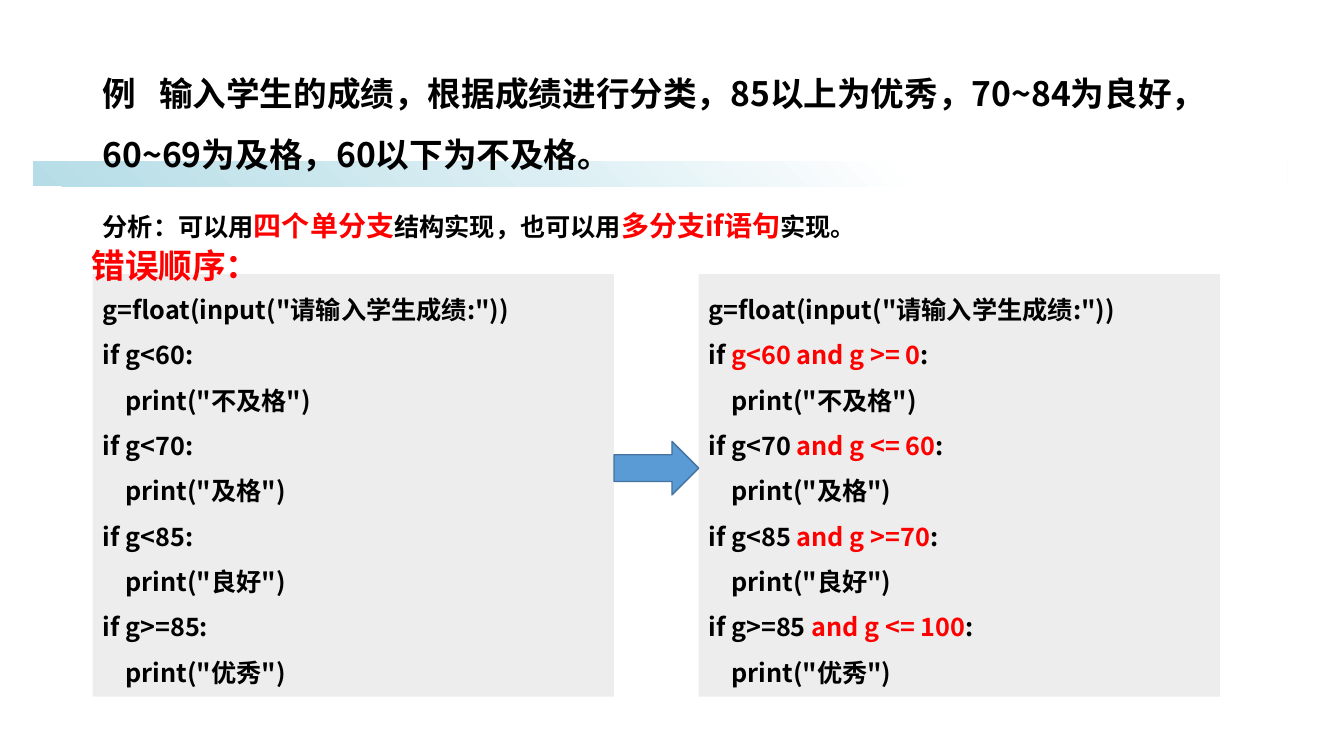
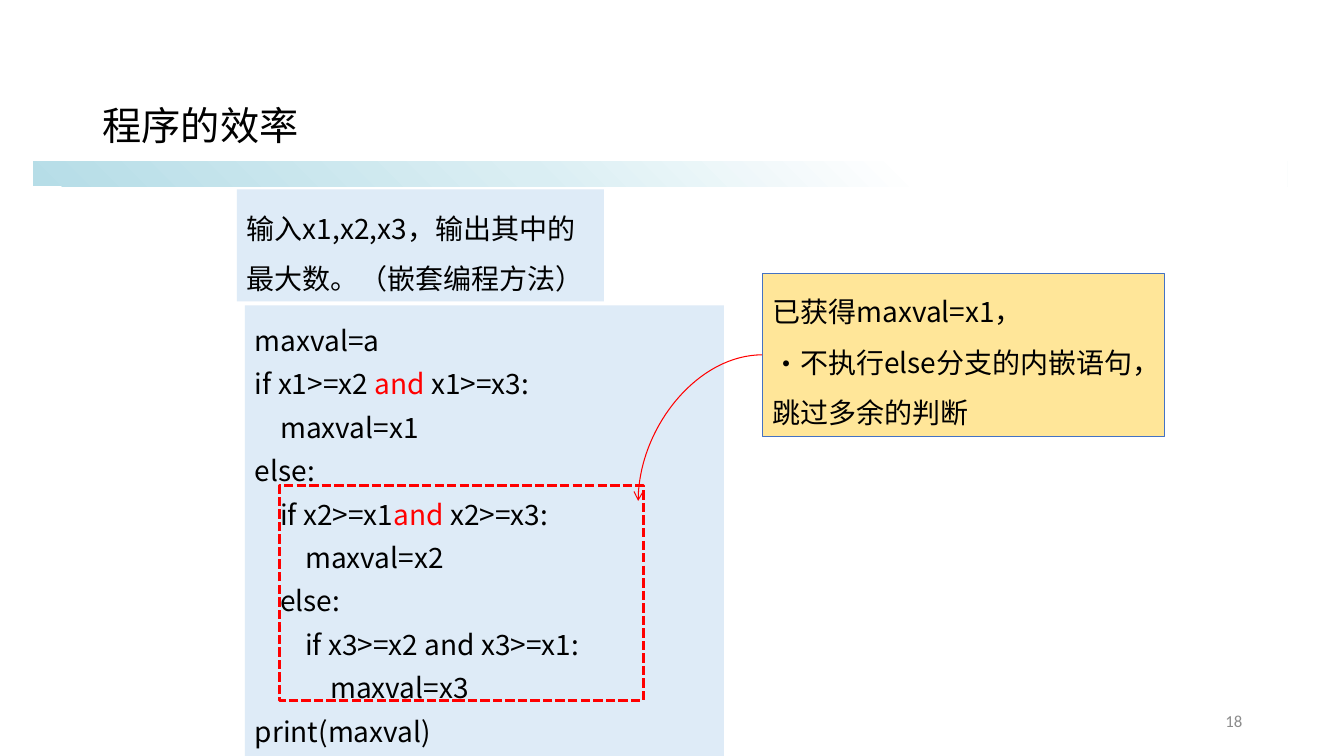
from dataclasses import dataclass

from lxml.etree import SubElement
from pptx import Presentation
from pptx.dml.color import RGBColor
from pptx.enum.dml import MSO_LINE
from pptx.enum.shapes import MSO_CONNECTOR, MSO_SHAPE
from pptx.enum.text import MSO_ANCHOR, PP_ALIGN
from pptx.oxml.ns import qn
from pptx.util import Inches, Pt


@dataclass(frozen=True)
class Theme:
    body_font: str = "Noto Sans CJK SC"
    number_font: str = "Calibri"
    text: str = "000000"
    accent: str = "FF0000"
    muted: str = "8C8C8C"
    code_gray: str = "EDEDED"
    code_blue: str = "DEEBF7"
    note_fill: str = "FFE699"
    note_line: str = "4472C4"
    arrow_fill: str = "5B9BD5"
    arrow_line: str = "43739E"
    band_stops: tuple = ((0, "B6DDE7"), (40, "DAEEF3"), (70, "FFFFFF"), (100, "FFFFFF"))
    band_angle: int = 315
    title_size: int = 28
    heading_size: int = 24
    large_size: int = 20
    code_size: int = 18
    number_size: int = 12
    spacing: float = 1.5


THEME = Theme()
MARK = "|"  # encloses the words set in the accent colour
GRADES = ("不及格", "及格", "良好", "优秀")


def color(value):
    return RGBColor.from_string(value)


def apply_format(target, values):
    for name, value in values.items():
        setattr(target, name, value)


def add_span(para, text, size, tint, font, bold):
    span = para.add_run()
    span.text = text
    apply_format(span.font, {"size": Pt(size), "bold": bold, "name": font})
    span.font.color.rgb = color(tint)
    SubElement(span.font._element, qn("a:ea"), typeface=font)


def add_bullet(para):
    properties = para._p.get_or_add_pPr()
    properties.set("marL", "0")
    properties.set("indent", "0")
    SubElement(properties, qn("a:buFont"), typeface=THEME.body_font)
    SubElement(properties, qn("a:buChar"), char="•")


def add_tab_stop(para, position):
    tabs = SubElement(para._p.get_or_add_pPr(), qn("a:tabLst"))
    SubElement(tabs, qn("a:tab"), pos=str(Inches(position)), algn="l")


def write(box, lines, size, accent_size=None, tint=THEME.text, font=THEME.body_font,
          bold=False, spacing=THEME.spacing, align=PP_ALIGN.LEFT, anchor=MSO_ANCHOR.TOP):
    """Fill a box with one paragraph per line; marked words take the accent style."""
    frame = box.text_frame
    apply_format(frame, {"word_wrap": True, "vertical_anchor": anchor})
    for index, line in enumerate(lines):
        para = frame.add_paragraph() if index else frame.paragraphs[0]
        apply_format(para, {"alignment": align, "line_spacing": spacing})
        for position, piece in enumerate(line.split(MARK)):
            marked = position % 2
            if piece:
                add_span(para, piece, (accent_size or size) if marked else size,
                         THEME.accent if marked else tint, font, bold)
    return frame.paragraphs


def add_text(page, area, lines, size, **style):
    box = page.shapes.add_textbox(*map(Inches, area))
    return write(box, lines, size, **style)


def add_panel(page, area, fill=None, line=None, width=1, kind=MSO_SHAPE.RECTANGLE):
    panel = page.shapes.add_shape(kind, *map(Inches, area))
    panel.shadow.inherit = False
    if fill:
        panel.fill.solid()
        panel.fill.fore_color.rgb = color(fill)
    else:
        panel.fill.background()
    if line:
        panel.line.color.rgb = color(line)
        panel.line.width = Pt(width)
    else:
        panel.line.fill.background()
    return panel


def add_band(page):
    band = add_panel(page, (0.33, 1.6, 12.44, 0.25))
    band.fill.gradient()
    gradient = band._element.spPr.find(qn("a:gradFill"))
    stops = gradient.find(qn("a:gsLst"))
    for stop in list(stops):
        stops.remove(stop)
    for percent, value in THEME.band_stops:
        stop = SubElement(stops, qn("a:gs"), pos=str(percent * 1000))
        SubElement(stop, qn("a:srgbClr"), val=value)
    direction = gradient.find(qn("a:lin"))
    direction.set("ang", str(THEME.band_angle * 60000))
    direction.set("scaled", "0")


def add_page(deck, title, size, bold=False):
    """Add a slide with the shared band and title; return it with the title paragraph."""
    page = deck.slides.add_slide(deck.slide_layouts[6])
    add_band(page)
    paras = add_text(page, (0.92, 0.4, 11.5, 1.45), [title], size,
                     bold=bold, anchor=MSO_ANCHOR.MIDDLE)
    return page, paras[0]


def add_curved_arrow(page, start, end):
    """Draw a quarter curve that leaves sideways and arrives vertically."""
    arrow = page.shapes.add_connector(MSO_CONNECTOR.CURVE, *map(Inches, start + end))
    arrow.line.color.rgb = color(THEME.accent)
    arrow.line.width = Pt(0.75)
    properties = arrow._element.spPr
    properties.find(qn("a:prstGeom")).set("prst", "curvedConnector2")
    SubElement(properties.find(qn("a:ln")), qn("a:tailEnd"), type="arrow")
    SubElement(properties, qn("a:effectLst"))


def grade_code(conditions):
    lines = ['g=float(input("请输入学生成绩:"))']
    for condition, grade in zip(conditions, GRADES):
        lines += [f"if {condition}:", f'    print("{grade}")']
    return lines


def build_grades_page(deck):
    title = "例\t输入学生的成绩，根据成绩进行分类，85以上为优秀，70~84为良好，60~69为及格，60以下为不及格。"
    page, title_para = add_page(deck, title, THEME.heading_size, bold=True)
    add_tab_stop(title_para, 0.56)
    add_text(page, (0.92, 1.85, 9.11, 0.55),
             ["分析：可以用|四个单分支|结构实现，也可以用|多分支if语句|实现。"],
             THEME.code_size, accent_size=THEME.large_size, bold=True)

    left, top, width, height, gap = 0.92, 2.72, 5.17, 4.19, 0.84
    listings = (
        ("g<60", "g<70", "g<85", "g>=85"),
        ("|g<60 and g >= 0|", "g<70 |and g <= 60|", "g<85 |and g >=70|",
         "g>=85 |and g <= 100|"),
    )
    for column, conditions in enumerate(listings):
        panel = add_panel(page, (left + column * (width + gap), top, width, height),
                          THEME.code_gray)
        write(panel, grade_code(conditions), THEME.code_size, bold=True)
    add_text(page, (0.81, 2.38, 2, 0.5), ["错误顺序："], THEME.heading_size,
             tint=THEME.accent, bold=True, spacing=1.0)
    add_panel(page, (left + width, 4.38, gap, 0.53), THEME.arrow_fill,
              THEME.arrow_line, kind=MSO_SHAPE.RIGHT_ARROW)


def build_efficiency_page(deck):
    page, _ = add_page(deck, "程序的效率", THEME.title_size)
    add_text(page, (9.42, 6.95, 3, 0.4), ["18"], THEME.number_size, tint=THEME.muted,
             font=THEME.number_font, spacing=1.0, align=PP_ALIGN.RIGHT,
             anchor=MSO_ANCHOR.MIDDLE)

    code = add_panel(page, (2.43, 3.03, 4.75, 4.47), THEME.code_blue)
    write(code, [
        "maxval=a",
        "if x1>=x2 |and| x1>=x3:",
        "    maxval=x1",
        "else:",
        "    if x2>=x1|and| x2>=x3:",
        "        maxval=x2",
        "    else:",
        "        if x3>=x2 and x3>=x1:",
        "            maxval=x3",
        "print(maxval)",
    ], THEME.large_size, spacing=Pt(31), anchor=MSO_ANCHOR.MIDDLE)

    task = add_panel(page, (2.35, 1.88, 3.64, 1.11), THEME.code_blue)
    write(task, ["输入x1,x2,x3，输出其中的最大数。（嵌套编程方法）"], THEME.large_size)

    nested_frame = add_panel(page, (2.77, 4.82, 3.61, 2.13), line=THEME.accent, width=2.25)
    nested_frame.line.dash_style = MSO_LINE.SQUARE_DOT

    note = add_panel(page, (7.56, 2.71, 3.99, 1.62), THEME.note_fill, THEME.note_line, 0.5)
    paras = write(note, ["已获得maxval=x1，", "不执行else分支的内嵌语句，跳过多余的判断"],
                  THEME.large_size)
    add_bullet(paras[1])
    add_curved_arrow(page, (7.56, 3.52), (6.33, 4.97))


def main():
    deck = Presentation()
    apply_format(deck, {"slide_width": Inches(13.33), "slide_height": Inches(7.5)})
    build_grades_page(deck)
    build_efficiency_page(deck)
    deck.save("out.pptx")


if __name__ == "__main__":
    main()
